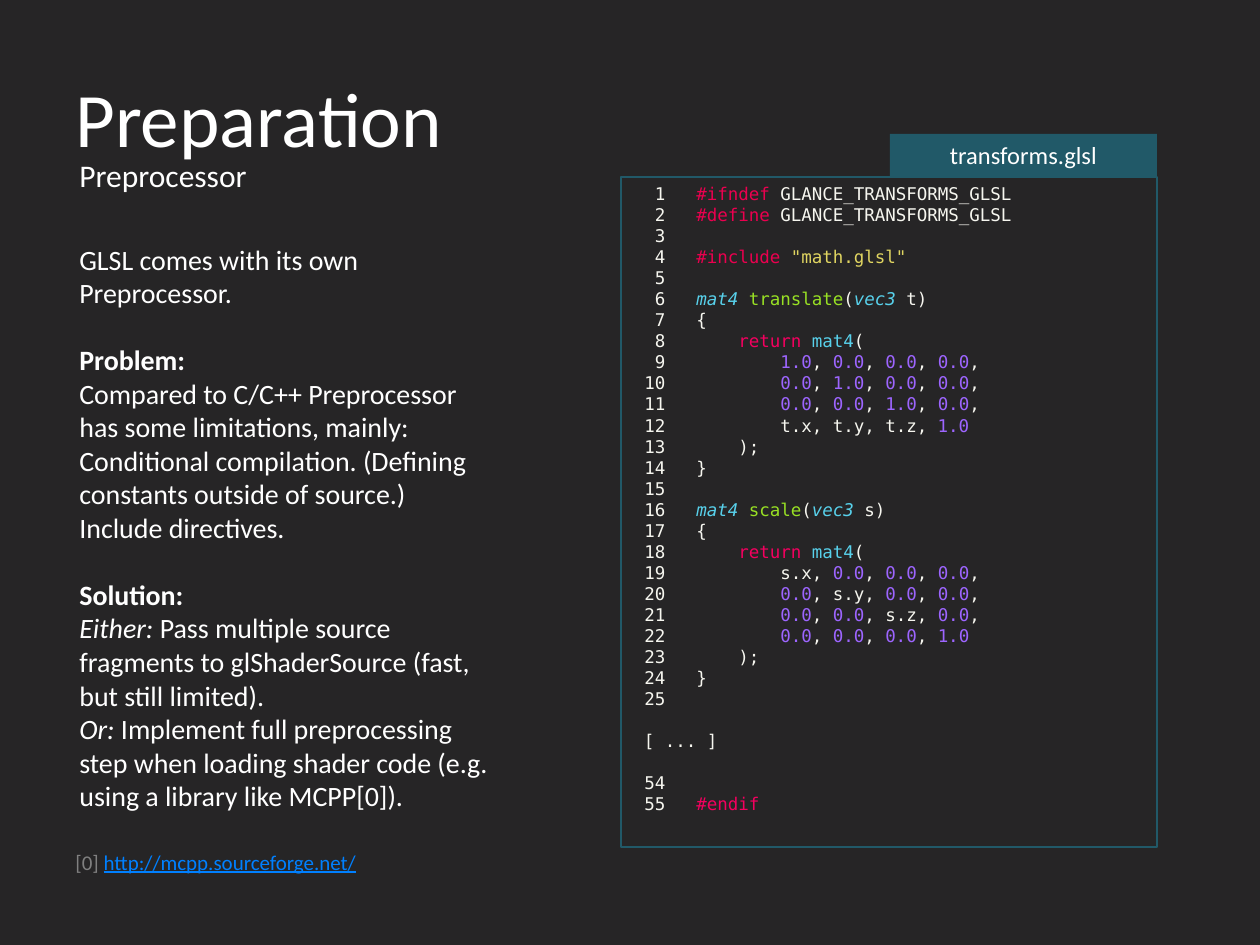
from itertools import groupby

from lxml.etree import SubElement
from pptx import Presentation
from pptx.dml.color import RGBColor
from pptx.enum.shapes import MSO_SHAPE as SHAPE
from pptx.enum.text import MSO_ANCHOR as ANCHOR, PP_ALIGN as ALIGN
from pptx.oxml.ns import qn
from pptx.util import Emu, Pt

PX = 914400 // 126
SANS, MONO = "Calibri", "DejaVu Sans Mono"
WHITE, PLAIN, TEAL = "FFFFFF", "F6F6EF", "215968"

TOKEN_COLOURS = {
    "#ifndef": "EB004F", "#define": "EB004F", "#include": "EB004F",
    "#endif": "F4005F", "return": "F4005F", '"math.glsl"': "E0D561",
    "mat4": "58D1EB", "vec3": "58D1EB",
    "translate": "98E024", "scale": "98E024",
    "0.0": "9D65FF", "1.0": "9D65FF",
}

CODE = """\
#ifndef GLANCE_TRANSFORMS_GLSL
#define GLANCE_TRANSFORMS_GLSL

#include "math.glsl"

mat4 translate(vec3 t)
{
    return mat4(
        1.0, 0.0, 0.0, 0.0,
        0.0, 1.0, 0.0, 0.0,
        0.0, 0.0, 1.0, 0.0,
        t.x, t.y, t.z, 1.0
    );
}

mat4 scale(vec3 s)
{
    return mat4(
        s.x, 0.0, 0.0, 0.0,
        0.0, s.y, 0.0, 0.0,
        0.0, 0.0, s.z, 0.0,
        0.0, 0.0, 0.0, 1.0
    );
}
"""
CODE_END = ["", "#endif"]

# (space before in points, runs of (text, bold, italic))
BODY = [
    (0, [("GLSL comes with its own Preprocessor.", False, False)]),
    (19, [("Problem:", True, False)]),
    (0, [("Compared to C/C++ Preprocessor has some limitations, mainly:", False, False)]),
    (0, [("Conditional compilation. (Defining constants outside of source.)", False, False)]),
    (0, [("Include directives.", False, False)]),
    (19, [("Solution:", True, False)]),
    (0, [("Either: ", False, True),
         ("Pass multiple source fragments to glShaderSource (fast, but still limited).",
          False, False)]),
    (0, [("Or:", False, True),
         (" Implement full preprocessing step when loading shader code "
          "(e.g. using a library like MCPP[0]).", False, False)]),
]


def rgb(colour):
    return RGBColor.from_string(colour)


def px(*lengths):
    return [Emu(n * PX) for n in lengths]


def add_run(p, text, size, colour=WHITE, font=SANS, bold=False, italic=False, underline=False):
    r = p.add_run()
    r.text = text
    f = r.font
    f.name, f.size, f.bold, f.italic, f.underline = font, Pt(size), bold, italic, underline
    f.color.rgb = rgb(colour)


def add_text(s, box, anchor=ANCHOR.TOP, wrap=True):
    tf = s.shapes.add_textbox(*px(*box)).text_frame
    tf.word_wrap, tf.vertical_anchor = wrap, anchor
    return tf


def add_rect(group, box, fill=None, line=None):
    sp = group.shapes.add_shape(SHAPE.RECTANGLE, *px(*box))
    sp.shadow.inherit = False
    if fill:
        sp.fill.solid()
        sp.fill.fore_color.rgb = rgb(fill)
    else:
        sp.fill.background()
    if line:
        sp.line.color.rgb = rgb(line)
        sp.line.width = Pt(0.75)
    else:
        sp.line.fill.background()
    tf = sp.text_frame
    tf.word_wrap, tf.vertical_anchor = True, ANCHOR.TOP
    return tf


def next_paragraph(tf, space=0):
    """Return the empty first paragraph, or add another one."""
    p = tf.paragraphs[0]
    if p.runs:
        p = tf.add_paragraph()
    if space:
        p.space_before = Pt(space)
    return p


def add_tabs(p, *stops):
    tabs = SubElement(p._p.get_or_add_pPr(), qn("a:tabLst"))
    for position, align in stops:
        SubElement(tabs, qn("a:tab"), pos=str(position * PX), algn=align)


def highlight(line):
    """Yield (text, colour, italic) for each token of a line of GLSL."""
    for _, chars in groupby(line, lambda c: c.isalnum() or c in '_.#"'):
        token = "".join(chars)
        is_type = token in ("mat4", "vec3")
        yield token, TOKEN_COLOURS.get(token, PLAIN), is_type and "return" not in line


def add_code(tf, lines, first, space=0):
    for number, line in enumerate(lines, first):
        p = next_paragraph(tf, space if number == first else 0)
        p.alignment = ALIGN.LEFT
        add_tabs(p, (32, "r"), (63, "l"))
        add_run(p, f"\t{number}\t", 10, PLAIN, MONO)
        for style, tokens in groupby(highlight(line), lambda t: t[1:]):
            colour, italic = style
            add_run(p, "".join(t[0] for t in tokens), 10, colour, MONO, italic=italic)


def add_listing(s, left, top, width, height):
    """Code box with its file name on a tab at the upper right."""
    group = s.shapes.add_group_shape()
    tab_w, tab_h = 267, 43
    tf = add_rect(group, (left, top + tab_h, width, height - tab_h), line=TEAL)
    add_code(tf, CODE.split("\n"), 1)
    p = next_paragraph(tf, 12)
    p.alignment = ALIGN.LEFT
    add_run(p, " [ ... ]", 10, PLAIN, MONO)
    add_code(tf, CODE_END, 54, 12)

    tf = add_rect(group, (left + width - tab_w, top, tab_w, tab_h), fill=TEAL)
    p = next_paragraph(tf)
    p.alignment = ALIGN.CENTER
    add_run(p, "transforms.glsl", 14)


def add_heading(s, left, top, width, height):
    tf = add_text(s, (left, top, width, height), ANCHOR.MIDDLE)
    add_run(next_paragraph(tf), "Preparation", 44)
    tf = add_text(s, (left + 4, top + 112, 195, 50), wrap=False)
    add_run(next_paragraph(tf), "Preprocessor", 18)


def add_body(s, *box):
    tf = add_text(s, box)
    for space, runs in BODY:
        p = next_paragraph(tf, space)
        for text, bold, italic in runs:
            add_run(p, text, 16, bold=bold, italic=italic)


def add_reference(s, *box):
    p = next_paragraph(add_text(s, box))
    add_run(p, "[0] ", 12, "808080")
    add_run(p, "http://mcpp.sourceforge.net/", 12, "0080FF", underline=True)


def main():
    prs = Presentation()
    prs.slide_width, prs.slide_height = px(1260, 945)
    s = prs.slides.add_slide(prs.slide_layouts[6])
    s.background.fill.solid()
    s.background.fill.fore_color.rgb = rgb("262526")
    add_heading(s, 63, 38, 1134, 157)
    add_body(s, 67, 236, 445, 590)
    add_reference(s, 63, 843, 498, 63)
    add_listing(s, 621, 134, 536, 713)
    prs.save("out.pptx")


if __name__ == "__main__":
    main()
